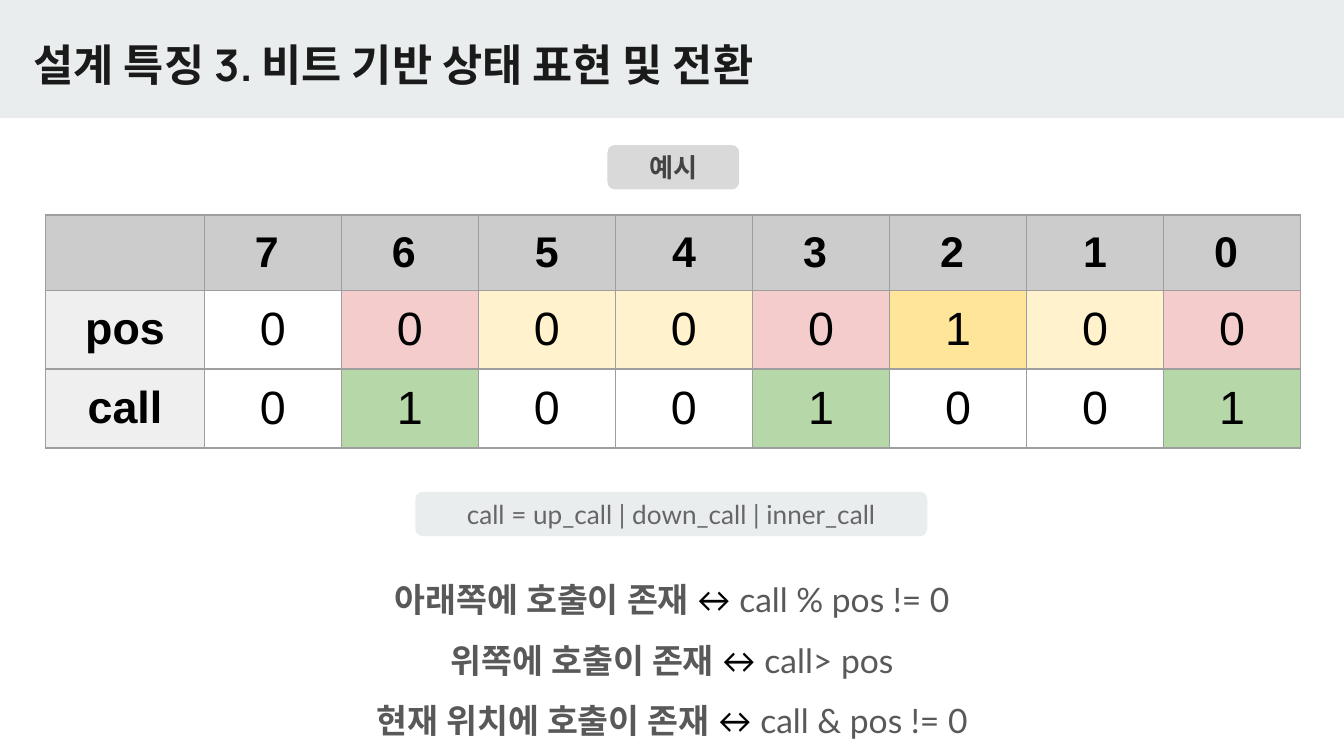
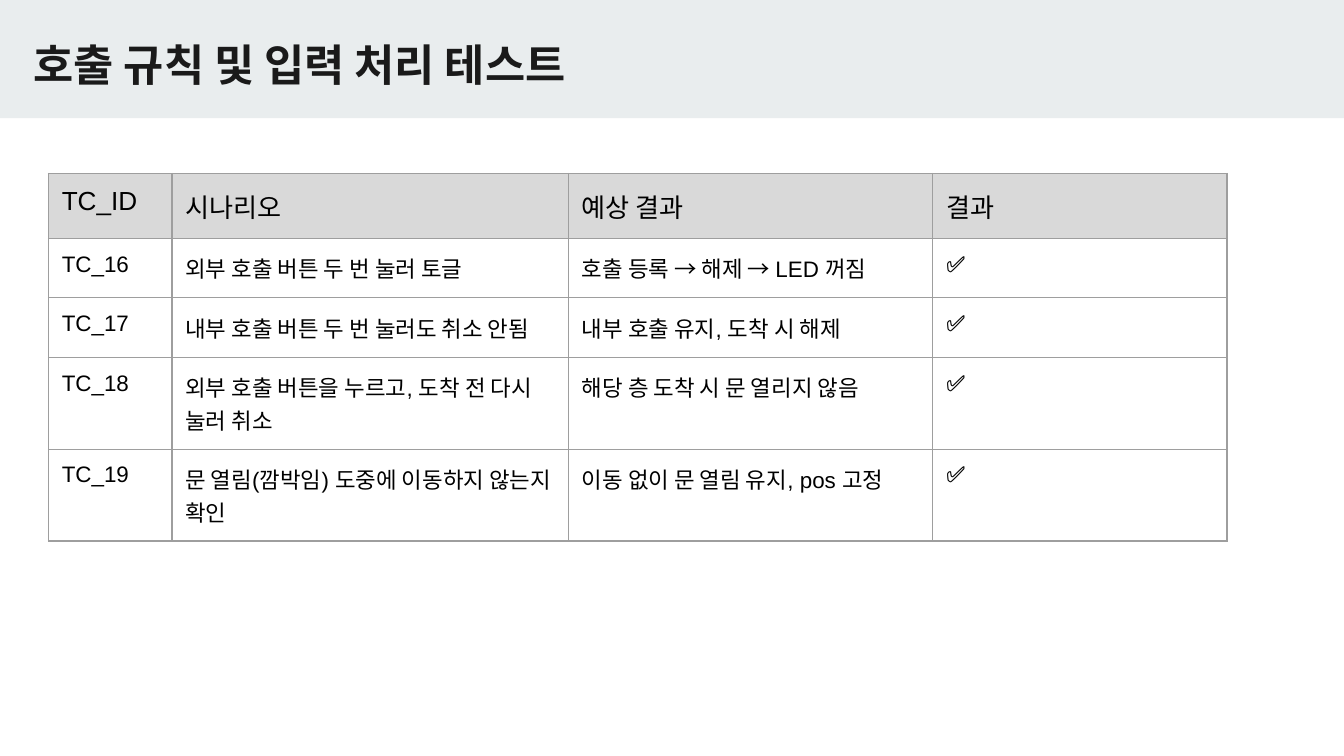
import pptx
import pptx.dml.color
import pptx.enum.shapes
import pptx.enum.text
import pptx.oxml
import pptx.oxml.ns
import pptx.util
from pptx.util import Inches

BAND = "E9EDEE"
TITLE_INK = "1A1A1A"
BODY_INK = "595959"
BLACK = "000000"
WHITE = "FFFFFF"
GRID = "9E9E9E"
HEADER_GRAY = "CCCCCC"
LIGHT_GRAY = "D9D9D9"
LABEL_GRAY = "EFEFEF"
PINK, CREAM, GOLD, GREEN = "F4CCCC", "FFF2CC", "FFE599", "B6D7A8"

CENTER = pptx.enum.text.PP_ALIGN.CENTER
LEFT = pptx.enum.text.PP_ALIGN.LEFT
TOP = pptx.enum.text.MSO_ANCHOR.TOP
MIDDLE = pptx.enum.text.MSO_ANCHOR.MIDDLE

POSITIONS = ["7 ", "6 ", "5", "4", "3 ", "2 ", "1", "0 "]
BIT_ROWS = [
    ("pos", "00000100", [None, PINK, CREAM, CREAM, PINK, GOLD, CREAM, PINK]),
    ("call", "01001001", [None, GREEN, None, None, GREEN, None, None, GREEN]),
]
RULES = [
    ("아래쪽에 호출이 존재", "call % pos != 0"),
    ("위쪽에 호출이 존재", "call> pos"),
    ("현재 위치에 호출이 존재", "call & pos != 0"),
]
TEST_HEADERS = ["TC_ID", "시나리오", "예상 결과", "결과"]
TEST_CASES = [
    ("TC_16", "외부 호출 버튼 두 번 눌러 토글", "호출 등록 → 해제 → LED 꺼짐"),
    ("TC_17", "내부 호출 버튼 두 번 눌러도 취소 안됨", "내부 호출 유지, 도착 시 해제"),
    ("TC_18", "외부 호출 버튼을 누르고, 도착 전 다시 눌러 취소", "해당 층 도착 시 문 열리지 않음"),
    ("TC_19", "문 열림(깜박임) 도중에 이동하지 않는지 확인", "이동 없이 문 열림 유지, pos 고정"),
]


def rgb(value):
    return pptx.dml.color.RGBColor.from_string(value)


def make_element(xml):
    namespaces = pptx.oxml.ns.nsdecls("a")
    return pptx.oxml.parse_xml(xml.replace(" ", f" {namespaces} ", 1))


def add_run(paragraph, text, size, font, color, bold=False, highlight=None):
    run = paragraph.add_run()
    run.text = text
    run.font.size = pptx.util.Pt(size)
    run.font.name = font
    run.font.bold = bold
    run.font.color.rgb = rgb(color)
    latin = run.font._element.find(pptx.oxml.ns.qn("a:latin"))
    if font == "Lato":
        latin.addnext(make_element(f'<a:ea typeface="{font}"/>'))
    if highlight:
        latin.addprevious(make_element(
            f'<a:highlight ><a:srgbClr val="{highlight}"/></a:highlight>'))


def set_frame(text_frame, anchor):
    text_frame.word_wrap = True
    text_frame.auto_size = pptx.enum.text.MSO_AUTO_SIZE.NONE
    text_frame.vertical_anchor = anchor
    for side in ("left", "top", "right", "bottom"):
        setattr(text_frame, f"margin_{side}", Inches(0.1))


def add_filled_shape(slide, kind, box, fill):
    shape = slide.shapes.add_shape(kind, *map(Inches, box))
    shape.shadow.inherit = False
    shape.fill.solid()
    shape.fill.fore_color.rgb = rgb(fill)
    shape.line.fill.background()
    return shape


def set_up_layout(layout, slide):
    rectangle = pptx.enum.shapes.MSO_SHAPE.RECTANGLE
    band = add_filled_shape(slide, rectangle, (0, 0, 10, 0.88), BAND)
    layout.shapes._spTree.insert(2, band._element)
    title = layout.placeholders[0]
    title.left, title.top, title.width, title.height = map(
        Inches, (0.15, 0.18, 8.41, 0.59))


def add_title(slide, text):
    text_frame = slide.shapes.title.text_frame
    set_frame(text_frame, TOP)
    paragraph = text_frame.paragraphs[0]
    paragraph.alignment = LEFT
    add_run(paragraph, text, 23.4, "Manrope", TITLE_INK, bold=True)


def add_pill(slide, box, text, fill, color, bold=False):
    kind = pptx.enum.shapes.MSO_SHAPE.ROUNDED_RECTANGLE
    shape = add_filled_shape(slide, kind, box, fill)
    set_frame(shape.text_frame, MIDDLE)
    paragraph = shape.text_frame.paragraphs[0]
    paragraph.alignment = CENTER
    add_run(paragraph, text, 14, "Lato", color, bold)


def add_grid(slide, left, top, widths, heights):
    frame = slide.shapes.add_table(
        len(heights), len(widths), Inches(left), Inches(top),
        Inches(sum(widths)), Inches(sum(heights)))
    table = frame.table
    table.first_row = False
    table.horz_banding = False
    for column, width in zip(table.columns, widths):
        column.width = Inches(width)
    for row, height in zip(table.rows, heights):
        row.height = Inches(height)
    return table


def fill_cell(cell, text, size, fill=None, bold=False, alignment=LEFT):
    for side in ("left", "top", "right", "bottom"):
        setattr(cell, f"margin_{side}", Inches(0.1))
    if fill:
        cell.fill.solid()
        cell.fill.fore_color.rgb = rgb(fill)
    else:
        cell.fill.background()
    properties = cell._tc.get_or_add_tcPr()
    for index, edge in enumerate(("lnL", "lnR", "lnT", "lnB")):
        properties.insert(index, make_element(
            f'<a:{edge} w="9525"><a:solidFill><a:srgbClr val="{GRID}"/>'
            f'</a:solidFill></a:{edge}>'))
    paragraph = cell.text_frame.paragraphs[0]
    paragraph.alignment = alignment
    if text:
        add_run(paragraph, text, size, "Arial", BLACK, bold)


def add_bit_table(slide, left, top):
    table = add_grid(slide, left, top, [1.18] + [1.02] * 8, [0.52, 0.55, 0.55])
    for column, text in enumerate([""] + POSITIONS):
        fill_cell(table.cell(0, column), text, 23, HEADER_GRAY, True, CENTER)
    for row, (label, bits, fills) in enumerate(BIT_ROWS, 1):
        fill_cell(table.cell(row, 0), label, 24, LABEL_GRAY, True, CENTER)
        for column, (bit, fill) in enumerate(zip(bits, fills), 1):
            fill_cell(table.cell(row, column), bit, 25, fill, alignment=CENTER)


def add_rules(slide, box):
    text_frame = slide.shapes.add_textbox(*map(Inches, box)).text_frame
    set_frame(text_frame, TOP)
    for index, (condition, expression) in enumerate(RULES):
        paragraph = text_frame.add_paragraph() if index else text_frame.paragraphs[0]
        paragraph.alignment = CENTER
        paragraph.line_spacing = 1.5
        add_run(paragraph, f"{condition} ", 18, "Lato", BODY_INK, bold=True)
        add_run(paragraph, "↔ ", 18, "Arial", BLACK, highlight=WHITE)
        add_run(paragraph, expression, 18, "Lato", BODY_INK)


def add_test_table(slide, left, top):
    table = add_grid(slide, left, top, [0.92, 2.95, 2.71, 2.19], [0.24] + [0.22] * 4)
    for column, text in enumerate(TEST_HEADERS):
        fill_cell(table.cell(0, column), text, 14, LIGHT_GRAY)
    for row, case in enumerate(TEST_CASES, 1):
        for column, text in enumerate((*case, "✅")):
            fill_cell(table.cell(row, column), text, 12)


def build_bit_slide(slide):
    add_title(slide, "설계 특징 3. 비트 기반 상태 표현 및 전환")
    add_bit_table(slide, 0.34, 1.6)
    add_rules(slide, (0, 4.06, 10, 1.63))
    add_pill(slide, (3.09, 3.66, 3.81, 0.33),
             "call = up_call | down_call | inner_call", BAND, "666666")
    add_pill(slide, (4.52, 1.08, 0.98, 0.33), "예시", LIGHT_GRAY, "434343", bold=True)


def build_test_slide(slide):
    add_title(slide, "호출 규칙 및 입력 처리 테스트")
    add_test_table(slide, 0.36, 1.29)


def main():
    presentation = pptx.Presentation()
    presentation.slide_width = Inches(10)
    presentation.slide_height = Inches(10) * 9 // 16
    layout = presentation.slide_layouts[5]
    bit_slide = presentation.slides.add_slide(layout)
    test_slide = presentation.slides.add_slide(layout)
    set_up_layout(layout, bit_slide)
    build_bit_slide(bit_slide)
    build_test_slide(test_slide)
    presentation.save("out.pptx")


if __name__ == "__main__":
    main()
